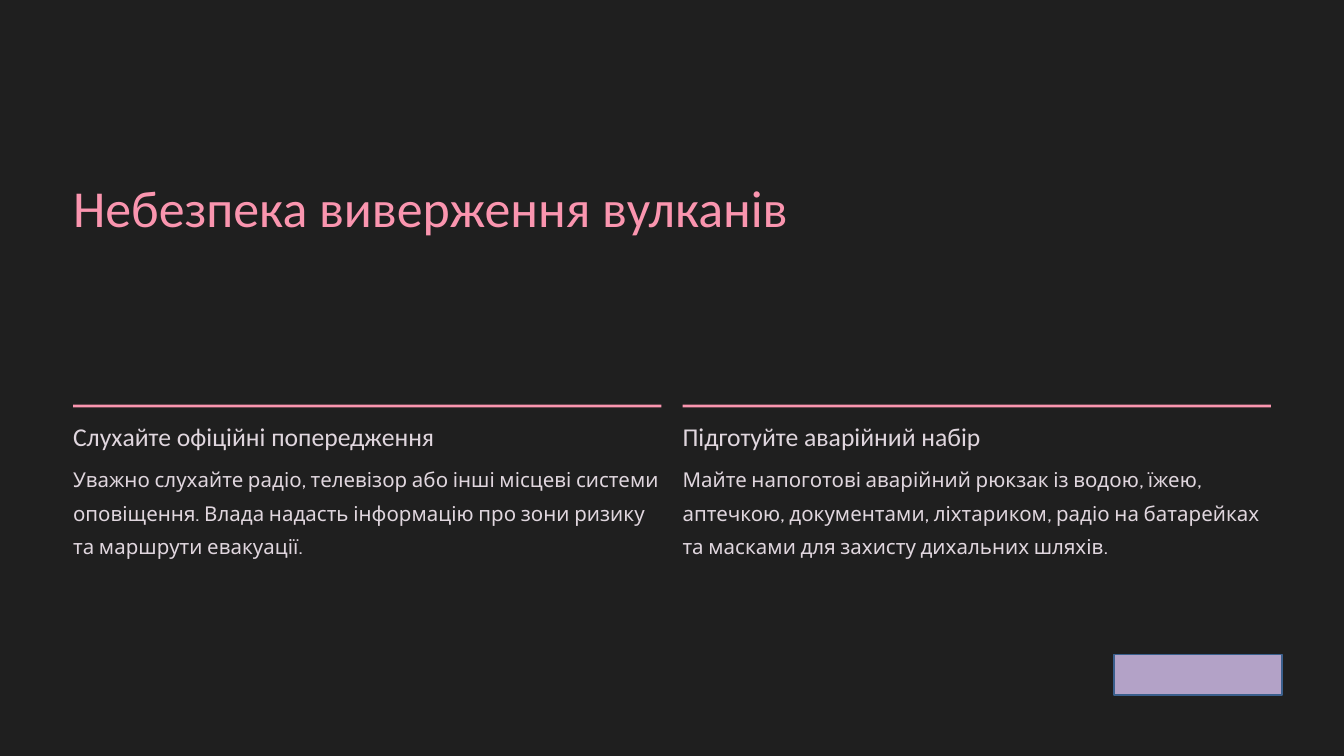
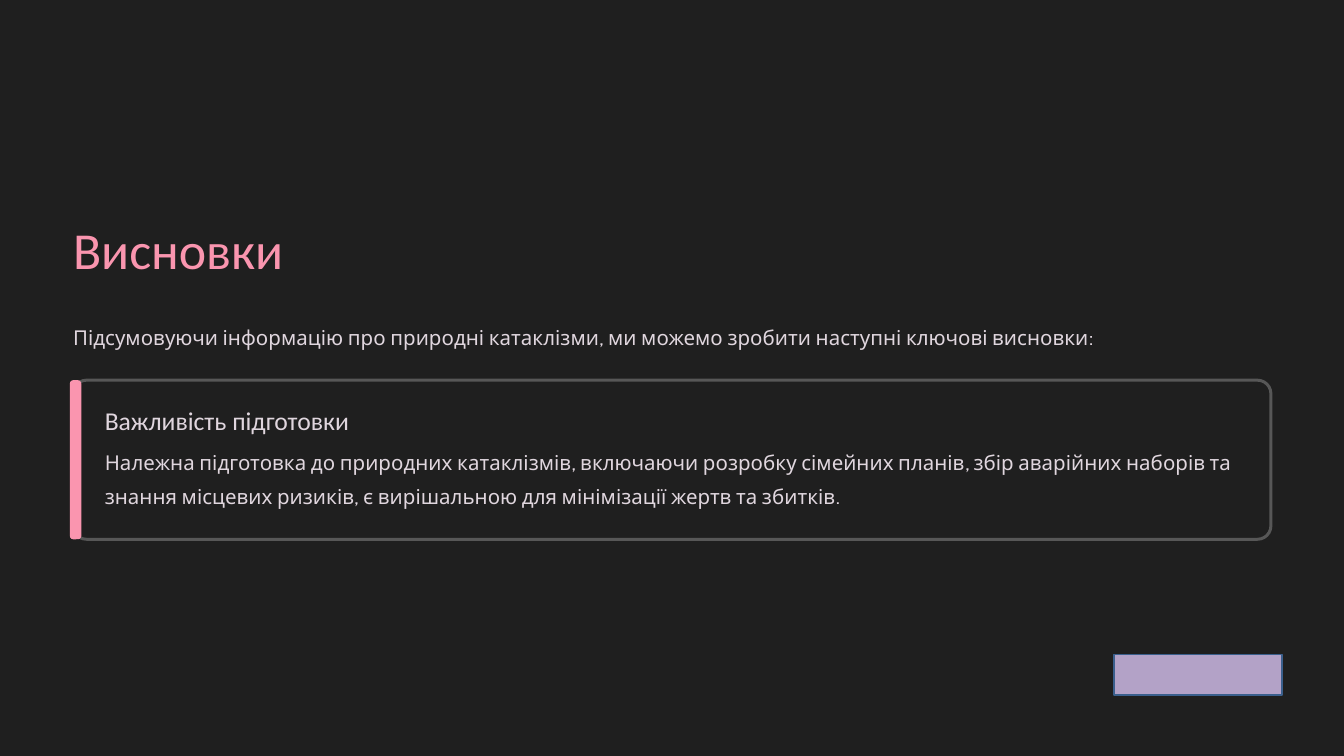
from pptx import Presentation
from pptx.dml.color import RGBColor
from pptx.enum.shapes import MSO_SHAPE
from pptx.enum.text import MSO_ANCHOR, MSO_AUTO_SIZE, PP_ALIGN
from pptx.oxml.ns import qn
from pptx.util import Inches, Pt
from lxml.etree import SubElement

BACKGROUND = RGBColor(0x1F, 0x1F, 0x1F)
PINK = RGBColor(0xFA, 0x95, 0xAF)
TEXT = RGBColor(0xE0, 0xD6, 0xDE)
CARD_EDGE = RGBColor(0x57, 0x57, 0x57)
LILAC = RGBColor(0xB3, 0xA2, 0xC7)
BADGE_EDGE = RGBColor(0x3A, 0x5F, 0x8C)

# Square grid cells, 80 columns by 45 rows
CELL = Inches(0.25)
COLUMNS, ROWS = 80, 45
MARGIN, GAP = 4.35, 1.25
CONTENT_WIDTH = COLUMNS - 2 * MARGIN
COLUMN_WIDTH = (CONTENT_WIDTH - GAP) / 2
HEADING_TO_BODY = 2.3

TITLE_STYLE = dict(font="Calibri", size=55.6, leading=69.4, color=PINK)
HEADING_STYLE = dict(font="Calibri", size=27.5, leading=34.4, color=TEXT)
BODY_STYLE = dict(font="Cabin", size=21.9, leading=35.6, color=TEXT)

TITLE_LAYOUT, COMPARISON_LAYOUT = 1, 4


def cells(*counts):
    return [round(count * CELL) for count in counts]


def write(box, text, *, font, size, leading, color):
    frame = box.text_frame
    frame.word_wrap = True
    frame.auto_size = MSO_AUTO_SIZE.NONE
    frame.vertical_anchor = MSO_ANCHOR.TOP
    frame.margin_left = frame.margin_right = 0
    frame.margin_top = frame.margin_bottom = 0
    para = frame.paragraphs[0]
    para.alignment = PP_ALIGN.LEFT
    para.line_spacing = Pt(leading)
    para.space_before = para.space_after = Pt(0)
    properties = para._p.get_or_add_pPr()
    properties.set("marL", "0")
    properties.set("indent", "0")
    SubElement(properties, qn("a:buNone"))
    span = para.add_run()
    span.text = text
    span.font.name = font
    span.font.size = Pt(size)
    span.font.bold = False
    span.font.color.rgb = color


class SlideBuilder:
    """Holds the deck style and the page being built; lengths are grid cells."""

    def __init__(self, deck):
        self.deck = deck
        self.page = None
        fill = deck.slide_master.background.fill
        fill.solid()
        fill.fore_color.rgb = BACKGROUND

    def start(self, layout, title, top, width):
        self.page = self.deck.slides.add_slide(self.deck.slide_layouts[layout])
        self.text(title, (MARGIN, top, width, 3.96), TITLE_STYLE, placeholder=0)

    def text(self, text, area, style, placeholder=None):
        """Write into the placeholder with that index, or into a new text box."""
        if placeholder is None:
            box = self.page.shapes.add_textbox(*cells(*area))
        else:
            box = self.page.placeholders[placeholder]
            box.left, box.top, box.width, box.height = cells(*area)
        write(box, text, **style)

    def block(self, area, fill, radius=0, edge=None, edge_width=0):
        kind = MSO_SHAPE.ROUNDED_RECTANGLE if radius else MSO_SHAPE.RECTANGLE
        shape = self.page.shapes.add_shape(kind, *cells(*area))
        shape.shadow.inherit = False
        shape.fill.solid()
        shape.fill.fore_color.rgb = fill
        if radius:
            shape.adjustments[0] = radius / min(area[2:])
        if edge is None:
            shape.line.fill.background()
        else:
            shape.line.color.rgb = edge
            shape.line.width = Pt(edge_width)

    def topic(self, heading, body, left, top, heading_width, body_width,
              body_height, placeholders=(None, None)):
        """Place a heading with its paragraph below."""
        self.text(heading, (left, top, heading_width, 1.96), HEADING_STYLE,
                  placeholders[0])
        self.text(body, (left, top + HEADING_TO_BODY, body_width, body_height),
                  BODY_STYLE, placeholders[1])

    def badge(self):
        self.block((66.32, 38.96, 10, 2.4), LILAC, edge=BADGE_EDGE, edge_width=2)


def build_volcano_page(builder):
    builder.start(COMPARISON_LAYOUT, "Небезпека виверження вулканів", 10.32, 49.32)
    topics = [
        ("Слухайте офіційні попередження",
         "Уважно слухайте радіо, телевізор або інші місцеві системи оповіщення. "
         "Влада надасть інформацію про зони ризику та маршрути евакуації.", 25),
        ("Підготуйте аварійний набір",
         "Майте напоготові аварійний рюкзак із водою, їжею, аптечкою, документами, "
         "ліхтариком, радіо на батарейках та масками для захисту дихальних шляхів.",
         20.8),
    ]
    for index, (heading, body, heading_width) in enumerate(topics):
        left = MARGIN + index * (COLUMN_WIDTH + GAP)
        first = 1 + 2 * index
        builder.block((left, 24.08, COLUMN_WIDTH, 0.17), PINK)
        builder.topic(heading, body, left, 25, heading_width, COLUMN_WIDTH, 6.36,
                      placeholders=(first, first + 1))
    builder.badge()


def build_conclusions_page(builder):
    builder.start(TITLE_LAYOUT, "Висновки", 12.8, 31)
    builder.text(
        "Підсумовуючи інформацію про природні катаклізми, "
        "ми можемо зробити наступні ключові висновки:",
        (MARGIN, 18.84, CONTENT_WIDTH, 2.4), BODY_STYLE, placeholder=1)
    card_top, card_height = 22.63, 9.47
    builder.block((MARGIN, card_top, CONTENT_WIDTH, card_height), BACKGROUND,
                  radius=0.8, edge=CARD_EDGE, edge_width=3.2)
    builder.block((4.16, card_top, 0.68, card_height), PINK, radius=0.2)
    builder.topic(
        "Важливість підготовки",
        "Належна підготовка до природних катаклізмів, включаючи розробку сімейних "
        "планів, збір аварійних наборів та знання місцевих ризиків, є вирішальною "
        "для мінімізації жертв та збитків.",
        6.24, 24, 17.08, 68, 4.4)
    builder.badge()


def main():
    deck = Presentation()
    deck.slide_width, deck.slide_height = cells(COLUMNS, ROWS)
    builder = SlideBuilder(deck)
    build_volcano_page(builder)
    build_conclusions_page(builder)
    deck.save("out.pptx")


if __name__ == "__main__":
    main()
